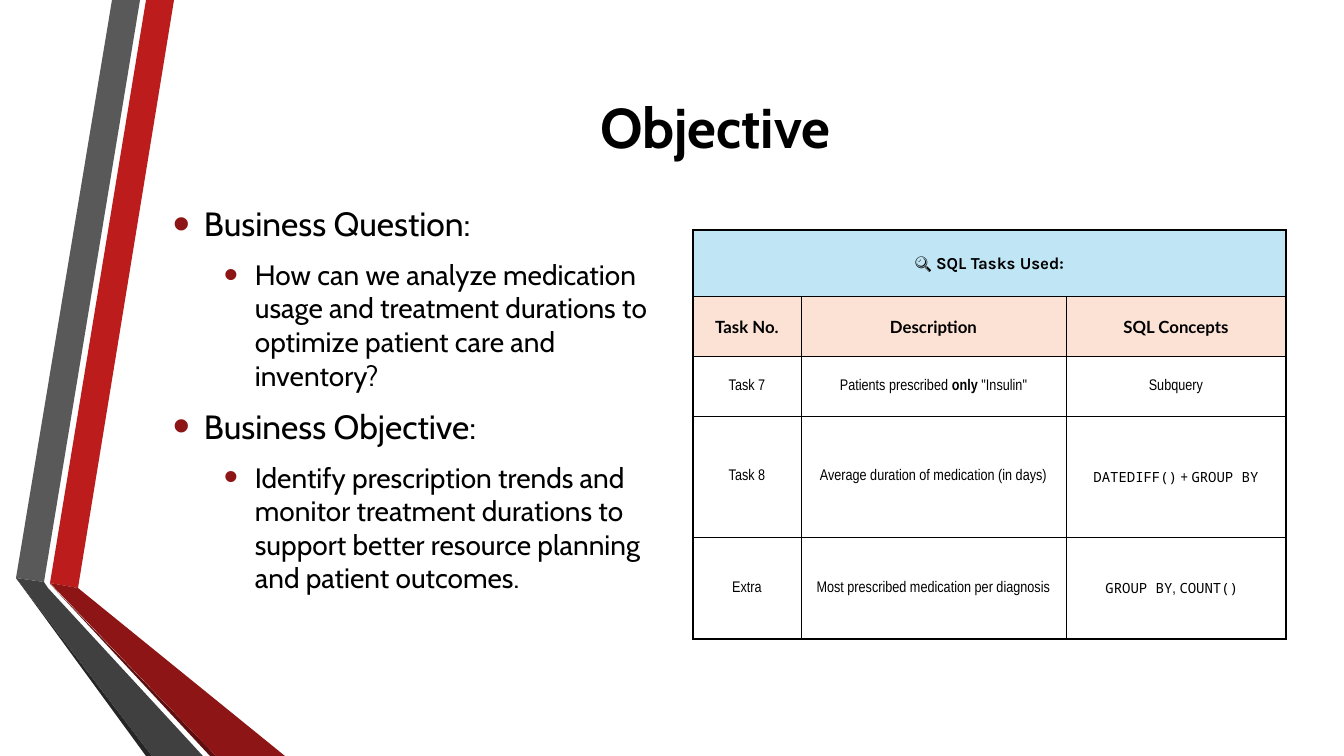
from lxml import etree
from pptx import Presentation
from pptx import util as u
from pptx.dml.color import RGBColor
from pptx.enum import shapes, text
from pptx.oxml import ns

SCALE = 914400 / 100.8
COLORS = {
    "black": "000000", "white": "FFFFFF", "red": "BC1C1C", "crimson": "8D1515",
    "maroon": "5E0E0E", "gray": "595959", "charcoal": "404040", "soot": "262626",
    "sky": "C0E6F5", "peach": "FBE2D5", "blue": "50B1D4",
}
RIBBONS = [
    ("red", [(50, 583), (78, 588), (174, 0), (146, 0)]),
    ("gray", [(140, 0), (112, 0), (16, 578), (44, 582)]),
    ("soot", [(16, 578), (146, 756), (152, 756)]),
    ("maroon", [(50, 584), (210, 756), (216, 756)]),
    ("crimson", [(50, 583), (216, 756), (285, 756), (78, 588)]),
    ("charcoal", [(203, 756), (48, 588), (44, 582), (16, 578), (152, 756)]),
]
HEADING = {"size": 12, "font": "Lato", "bold": True}
PLAIN = {"size": 11, "font": "Arial Narrow"}
BOLD = {**PLAIN, "bold": True}
CODE = {"size": 10, "font": "Noto Sans Mono"}
TASKS = [
    [[("🔍 SQL Tasks Used:", {**HEADING, "font": "Karla"})]],
    [[(name, HEADING)] for name in ("Task No.", "Description", "SQL Concepts")],
    [[("Task 7", PLAIN)],
     [("Patients prescribed ", PLAIN), ("only", BOLD), (' "Insulin"', PLAIN)],
     [("Subquery", PLAIN)]],
    [[("Task 8", PLAIN)],
     [("Average duration of medication (in days)", PLAIN)],
     [("DATEDIFF()", CODE), (" + ", PLAIN), ("GROUP BY", CODE)]],
    [[("Extra", PLAIN)],
     [("Most prescribed medication per diagnosis", PLAIN)],
     [("GROUP BY", CODE), (", ", PLAIN), ("COUNT() ", CODE)]],
]
POINTS = [
    (0, "Business Question:"),
    (1, "How can we analyze medication usage and treatment durations to "
        "optimize patient care and inventory?"),
    (0, "Business Objective:"),
    (1, "Identify prescription trends and monitor treatment durations to "
        "support better resource planning and patient outcomes."),
]


def px(length):
    """Turn a length in px into EMU."""
    return u.Emu(round(length * SCALE))


def color(name):
    """Look up a colour by name."""
    return RGBColor.from_string(COLORS[name])


def child(parent, tag, **attributes):
    """Append a drawing element with the given attributes."""
    return etree.SubElement(parent, ns.qn(f"a:{tag}"), attributes)


def write(paragraph, content, size=20, font="Cabin", bold=False, ink="black"):
    """Add a run of formatted text to a paragraph."""
    run = paragraph.add_run()
    run.text = content
    run.font.size = u.Pt(size)
    run.font.name = font
    run.font.bold = bold
    run.font.color.rgb = color(ink)


class Deck:
    """Holds the presentation, its current slide and the drawing style."""

    def __init__(self, width, height):
        """Open a presentation with one blank slide."""
        self.presentation = Presentation()
        self.presentation.slide_width = px(width)
        self.presentation.slide_height = px(height)
        self.slide = self.presentation.slides.add_slide(self.presentation.slide_layouts[6])

    def ribbon(self, fill, points):
        """Draw a filled polygon without an outline."""
        builder = self.slide.shapes.build_freeform(*points[0], scale=SCALE)
        builder.add_line_segments(points[1:], close=True)
        shape = builder.convert_to_shape()
        shape.shadow.inherit = False
        shape.fill.solid()
        shape.fill.fore_color.rgb = color(fill)
        shape.line.fill.background()

    def panel(self, box, fill, line):
        """Draw an outlined rectangle."""
        shape = self.slide.shapes.add_shape(shapes.MSO_SHAPE.RECTANGLE, *map(px, box))
        shape.shadow.inherit = False
        shape.fill.solid()
        shape.fill.fore_color.rgb = color(fill)
        shape.line.color.rgb = color(line)
        shape.line.width = u.Pt(1.25)

    def text_frame(self, box, anchor):
        """Add a wrapping text box and return its frame."""
        frame = self.slide.shapes.add_textbox(*map(px, box)).text_frame
        frame.word_wrap = True
        frame.vertical_anchor = anchor
        return frame

    def title(self, box, content):
        """Add the centred slide title."""
        paragraph = self.text_frame(box, text.MSO_ANCHOR.MIDDLE).paragraphs[0]
        paragraph.alignment = text.PP_ALIGN.CENTER
        write(paragraph, content, size=40, bold=True)

    def bullets(self, box, points):
        """Add a two-level bullet list."""
        frame = self.text_frame(box, text.MSO_ANCHOR.TOP)
        frame.margin_top = 0
        for index, (level, content) in enumerate(points):
            paragraph = frame.add_paragraph() if index else frame.paragraphs[0]
            paragraph.level = level
            paragraph.space_after = u.Pt(10)
            write(paragraph, content, size=20 if level else 24)
            properties = paragraph._p.get_or_add_pPr()
            properties.set("marL", str(px(31 + 51 * level)))
            properties.set("indent", str(px(-31)))
            child(child(properties, "buClr"), "srgbClr", val=COLORS["crimson"])
            child(properties, "buSzPct", val="145000")
            child(properties, "buFont", typeface="Arial")
            child(properties, "buChar", char="•")

    def border(self, cell, outer):
        """Set cell borders, thicker on the sides named in outer."""
        properties = cell._tc.get_or_add_tcPr()
        for index, side in enumerate("LRTB"):
            width = u.Pt(1 if side in outer else 0.5)
            line = child(properties, f"ln{side}", w=str(width))
            child(child(line, "solidFill"), "srgbClr", val=COLORS["black"])
            properties.insert(index, line)

    def table(self, left, top, widths, heights, rows, fills):
        """Add a bordered table whose first row is one merged cell."""
        table = self.slide.shapes.add_table(
            len(heights), len(widths), px(left), px(top),
            px(sum(widths)), px(sum(heights))).table
        table.first_row = table.horz_banding = False
        for column, width in zip(table.columns, widths):
            column.width = px(width)
        for row, height in zip(table.rows, heights):
            row.height = px(height)
        table.cell(0, 0).merge(table.cell(0, len(widths) - 1))
        for r in range(len(heights)):
            for c in range(len(widths)):
                cell = table.cell(r, c)
                cell.margin_left = cell.margin_right = cell.margin_top = px(1)
                cell.margin_bottom = 0
                cell.vertical_anchor = text.MSO_ANCHOR.MIDDLE
                if r < len(fills):
                    cell.fill.solid()
                    cell.fill.fore_color.rgb = color(fills[r])
                else:
                    cell.fill.background()
                edges = {"L": c == 0, "R": r == 0 or c == len(widths) - 1,
                         "T": r == 0, "B": r == len(heights) - 1}
                self.border(cell, [side for side in edges if edges[side]])
                if c < len(rows[r]):
                    paragraph = cell.text_frame.paragraphs[0]
                    paragraph.alignment = text.PP_ALIGN.CENTER
                    for content, style in rows[r][c]:
                        write(paragraph, content, **style)


def main():
    """Build the objective slide and save it."""
    deck = Deck(1344, 756)
    for fill, points in RIBBONS:
        deck.ribbon(fill, points)
    deck.title((163, 76, 1105, 100), "Objective")
    deck.bullets((163, 203, 530, 435), POINTS)
    deck.panel((693, 231, 593, 408), "white", "blue")
    deck.table(693, 230, [108, 265, 220], [66, 60, 60, 121, 102], TASKS, ["sky", "peach"])
    deck.presentation.save("out.pptx")


if __name__ == "__main__":
    main()
